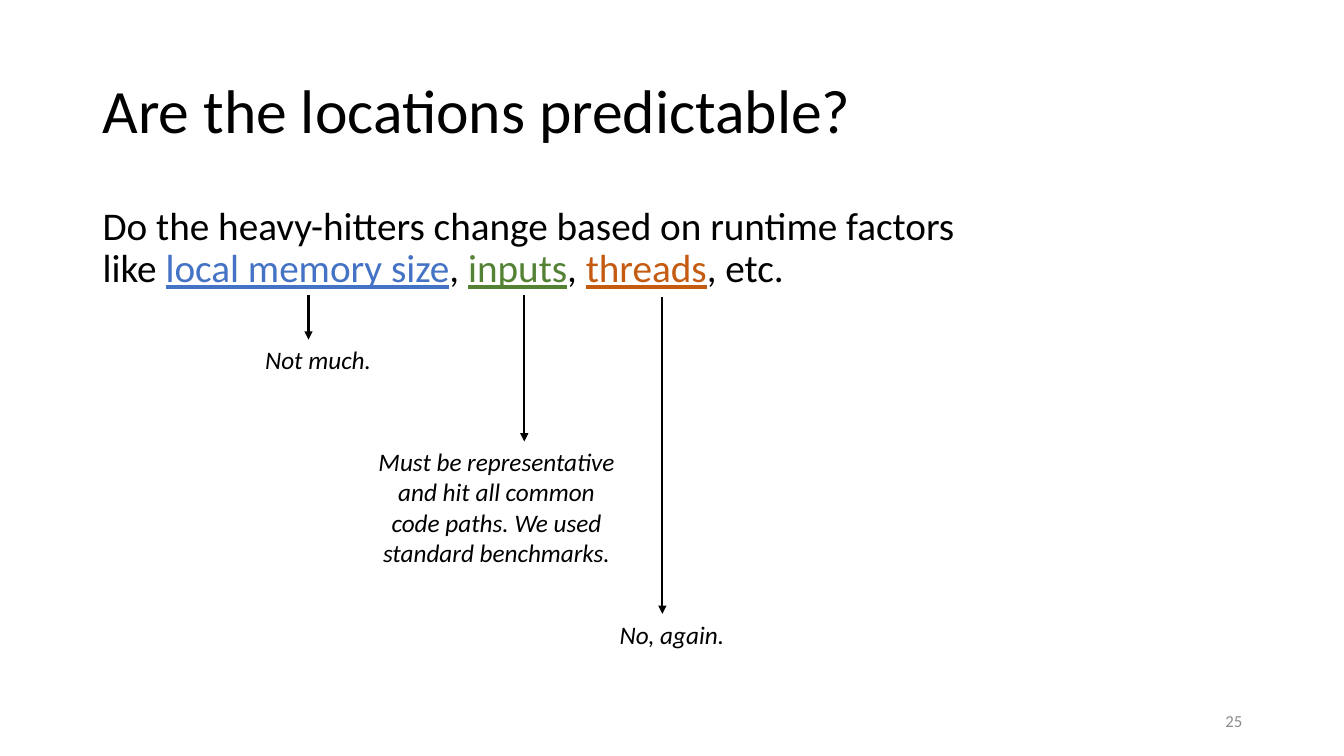
from dataclasses import dataclass

from lxml import etree
from pptx import Presentation
from pptx.dml.color import RGBColor
from pptx.enum.shapes import MSO_CONNECTOR
from pptx.enum.text import MSO_ANCHOR, PP_ALIGN
from pptx.oxml.ns import qn
from pptx.util import Inches, Pt

LEFT, CENTER, RIGHT = PP_ALIGN.LEFT, PP_ALIGN.CENTER, PP_ALIGN.RIGHT
TOP, MIDDLE = MSO_ANCHOR.TOP, MSO_ANCHOR.MIDDLE
STRAIGHT = MSO_CONNECTOR.STRAIGHT


@dataclass(frozen=True)
class Theme:
    font: str = "Calibri"
    black: str = "000000"
    gray: str = "8C8C8C"
    blue: str = "4472C4"
    green: str = "548235"
    orange: str = "C55A11"
    title_size: int = 44
    body_size: int = 28
    answer_size: int = 18
    number_size: int = 12
    line_width: float = 1.5


theme = Theme()
deck = Presentation()
deck.slide_width = Inches(13.33)
deck.slide_height = Inches(7.5)
page = deck.slides.add_slide(deck.slide_layouts[6])


def add_text(spans, *, at, size, color=theme.black, align=LEFT, anchor=TOP,
             italic=False, line_spacing=1.0):
    box = page.shapes.add_textbox(*map(Inches, at))
    frame = box.text_frame
    frame.word_wrap = True
    frame.vertical_anchor = anchor
    para = frame.paragraphs[0]
    para.alignment = align
    para.line_spacing = line_spacing
    if isinstance(spans, str):
        spans = [(spans, None)]
    for text, accent in spans:
        span = para.add_run()
        span.text = text
        span.font.name = theme.font
        span.font.size = Pt(size)
        span.font.italic = italic
        span.font.underline = accent is not None
        span.font.color.rgb = RGBColor.from_string(accent or color)


def add_arrow(x, top, bottom):
    arrow = page.shapes.add_connector(
        STRAIGHT, Inches(x), Inches(top), Inches(x), Inches(bottom))
    arrow.line.color.rgb = RGBColor.from_string(theme.black)
    arrow.line.width = Pt(theme.line_width)
    etree.SubElement(arrow.line._get_or_add_ln(), qn("a:tailEnd"), type="triangle")
    etree.SubElement(arrow._element.spPr, qn("a:effectLst"))


add_text("Are the locations predictable?", at=(0.92, 0.4, 11.5, 1.45),
         size=theme.title_size, anchor=MIDDLE, line_spacing=0.9)

question = [
    ("Do the heavy-hitters change based on runtime factors like ", None),
    ("local memory size", theme.blue),
    (", ", None),
    ("inputs", theme.green),
    (", ", None),
    ("threads", theme.orange),
    (", etc.", None),
]
add_text(question, at=(0.92, 2, 8.82, 4.76), size=theme.body_size, line_spacing=0.9)

add_text("25", at=(9.42, 6.95, 3, 0.4), size=theme.number_size,
         color=theme.gray, align=RIGHT, anchor=MIDDLE)

answers = [
    ("Not much.", (2.09, 3.37, 2.13, 0.4), 3.06, 2.93),
    ("Must be representative and hit all common code paths. "
     "We used standard benchmarks.", (3.64, 4.38, 2.57, 1.31), 5.2, 2.93),
    ("No, again.", (5.6, 6.09, 2.13, 0.4), 6.57, 2.95),
]
for answer, at, arrow_x, arrow_top in answers:
    add_text(answer, at=at, size=theme.answer_size, align=CENTER, italic=True)
    add_arrow(arrow_x, arrow_top, at[1])

deck.save("out.pptx")
